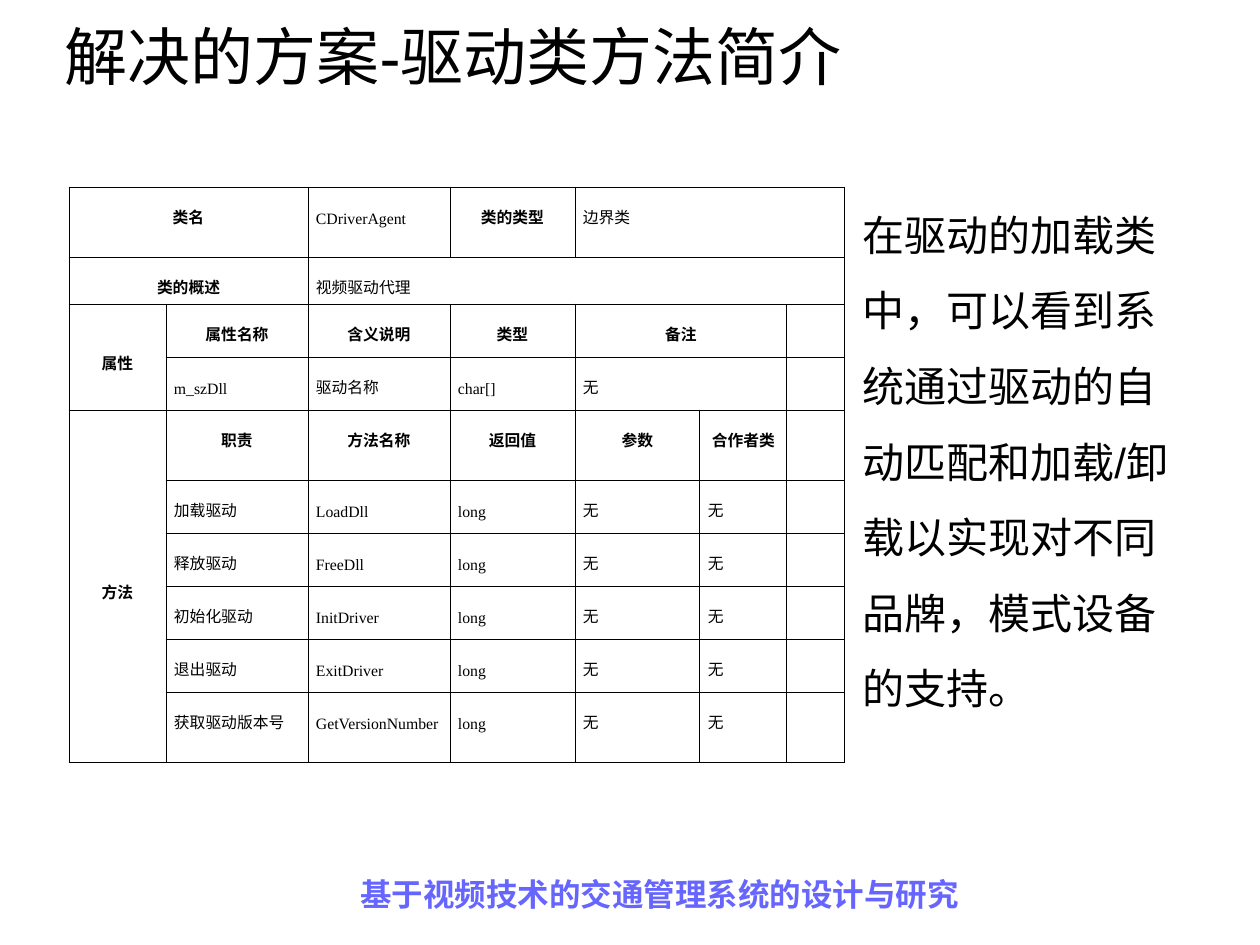
import pptx
import pptx.dml.color
import pptx.enum.text
import pptx.oxml
import pptx.oxml.ns
import pptx.util

PX = 914400 / 126  # EMU in one px
BLACK = "000000"
FOOTER_BLUE = "6666FF"
ALIGN = pptx.enum.text.PP_ALIGN
ANCHOR = pptx.enum.text.MSO_ANCHOR

COLUMN_WIDTHS = [97, 142, 142, 125, 125, 87, 58]
ROW_HEIGHTS = [70, 35, 53, 53, 70, 53, 53, 53, 53, 70]

CLASS_CARD = [
    ["类名", "", "CDriverAgent", "类的类型", "边界类"],
    ["类的概述", "", "视频驱动代理"],
    ["属性", "属性名称", "含义说明", "类型", "备注"],
    ["", "m_szDll", "驱动名称", "char[]", "无"],
    ["方法", "职责", "方法名称", "返回值", "参数", "合作者类"],
] + [
    ["", duty, method, "long", "无", "无"]
    for duty, method in [
        ("加载驱动", "LoadDll"),
        ("释放驱动", "FreeDll"),
        ("初始化驱动", "InitDriver"),
        ("退出驱动", "ExitDriver"),
        ("获取驱动版本号", "GetVersionNumber"),
    ]
]
SECTIONS = {"属性", "方法"}
HEADINGS = SECTIONS | {
    "类名", "类的类型", "类的概述", "属性名称", "含义说明", "类型", "备注",
    "职责", "方法名称", "返回值", "参数", "合作者类",
}
# First row, first column, last row, last column
MERGES = [
    (0, 0, 0, 1), (0, 4, 0, 6), (1, 0, 1, 1), (1, 2, 1, 6),
    (2, 0, 3, 0), (2, 4, 2, 5), (3, 4, 3, 5), (4, 0, 9, 0),
]


def px(length):
    return pptx.util.Emu(round(length * PX))


def color(hex_code):
    return pptx.dml.color.RGBColor.from_string(hex_code)


def style(paragraph, size, font="Arial", hex_code=BLACK, bold=False, align=ALIGN.LEFT):
    paragraph.font.size = pptx.util.Pt(size)
    paragraph.font.name = font
    paragraph.font.bold = bold
    paragraph.font.color.rgb = color(hex_code)
    paragraph.alignment = align


def indent(paragraph, left, first_line):
    properties = paragraph._p.get_or_add_pPr()
    properties.set("marL", str(px(left)))
    properties.set("indent", str(px(first_line)))


def add_title(slide, text):
    title = slide.shapes.title
    title.left, title.top, title.width, title.height = map(px, (52, -24, 1134, 158))
    title.text_frame.text = text
    title.text_frame.vertical_anchor = ANCHOR.MIDDLE
    heading = title.text_frame.paragraphs[0]
    style(heading, 36)
    indent(heading, 112, -112)


def add_text(slide, text, box, size, **look):
    frame = slide.shapes.add_textbox(*map(px, box)).text_frame
    frame.word_wrap = True
    frame.text = text
    style(frame.paragraphs[0], size, **look)
    return frame


def set_borders(cell):
    properties = cell._tc.get_or_add_tcPr()
    for position, side in enumerate(("lnL", "lnR", "lnT", "lnB")):
        line = pptx.oxml.parse_xml(
            f'<a:{side} {pptx.oxml.ns.nsdecls("a")} w="{pptx.util.Pt(0.45)}">'
            f'<a:solidFill><a:srgbClr val="{BLACK}"/></a:solidFill></a:{side}>'
        )
        properties.insert(position, line)


def fill_cell(cell, text):
    heading = text in HEADINGS
    cell.margin_left = cell.margin_right = px(8)
    cell.margin_top = cell.margin_bottom = px(6)
    cell.vertical_anchor = ANCHOR.MIDDLE if text in SECTIONS else ANCHOR.TOP
    cell.fill.background()
    set_borders(cell)
    cell.text = text
    paragraph = cell.text_frame.paragraphs[0]
    paragraph.line_spacing = pptx.util.Pt(20)
    style(paragraph, 9, "Times New Roman", bold=heading,
          align=ALIGN.CENTER if heading else ALIGN.JUSTIFY)


def add_class_card(slide):
    box = (69, 187, sum(COLUMN_WIDTHS), sum(ROW_HEIGHTS))
    table = slide.shapes.add_table(
        len(ROW_HEIGHTS), len(COLUMN_WIDTHS), *map(px, box)
    ).table
    table.first_row = table.horz_banding = False
    for column, width in zip(table.columns, COLUMN_WIDTHS):
        column.width = px(width)
    for row, height, texts in zip(table.rows, ROW_HEIGHTS, CLASS_CARD):
        row.height = px(height)
        padding = [""] * (len(COLUMN_WIDTHS) - len(texts))
        for cell, text in zip(row.cells, texts + padding):
            fill_cell(cell, text)
    for top, left, bottom, right in MERGES:
        table.cell(top, left).merge(table.cell(bottom, right))


def main():
    deck = pptx.Presentation()
    deck.slide_width, deck.slide_height = px(1260), px(945)
    slide = deck.slides.add_slide(deck.slide_layouts[5])

    # Title and project footer
    add_title(slide, "解决的方案-驱动类方法简介")
    add_text(slide, "基于视频技术的交通管理系统的设计与研究", (315, 869, 689, 66), 18,
             hex_code=FOOTER_BLUE, bold=True, align=ALIGN.CENTER)

    # Class card table
    add_class_card(slide)

    # Explanation beside the table
    explanation = add_text(
        slide,
        "在驱动的加载类中，可以看到系统通过驱动的自动匹配和加载/卸载以实现对不同品牌，模式设备的支持。",
        (738, 178, 472, 542), 24)
    explanation.auto_size = pptx.enum.text.MSO_AUTO_SIZE.SHAPE_TO_FIT_TEXT
    explanation.paragraphs[0].line_spacing = 1.5
    indent(explanation.paragraphs[0], 112, 0)

    deck.save("out.pptx")


if __name__ == "__main__":
    main()
